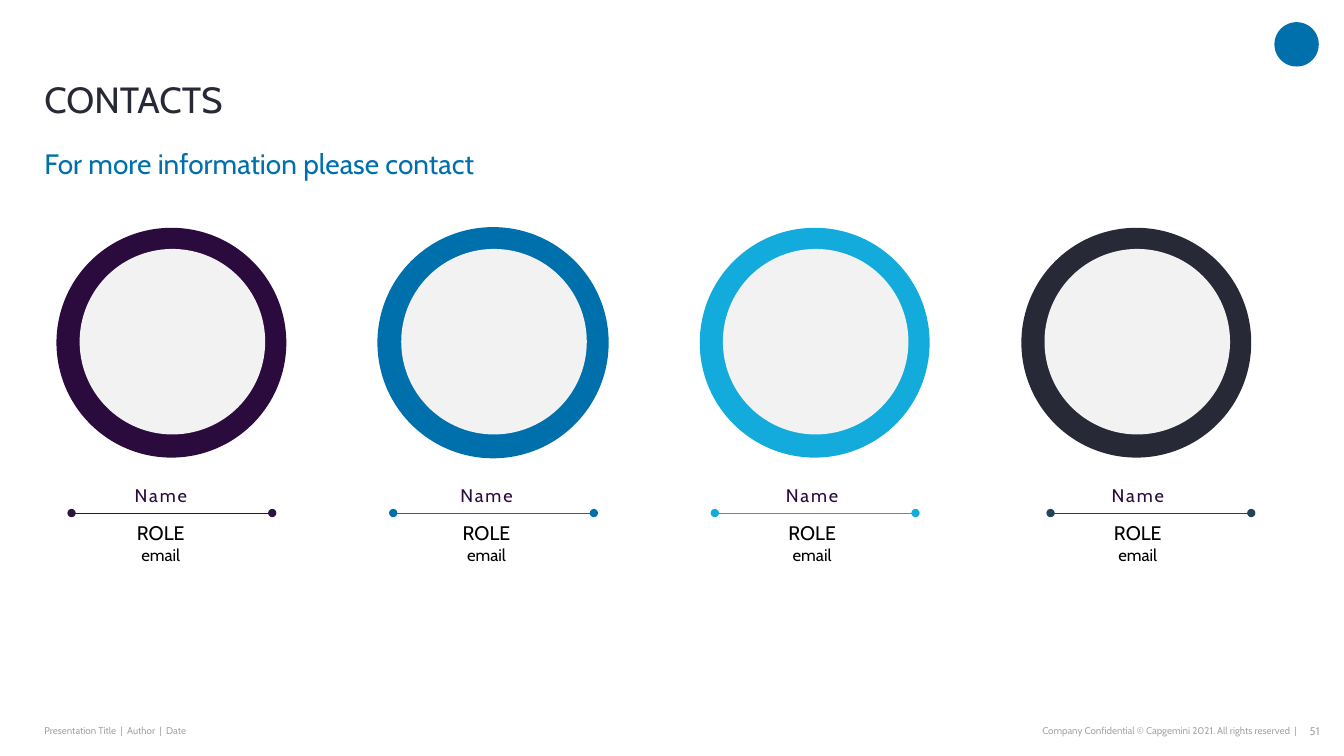
from dataclasses import dataclass

from lxml import etree
from pptx import Presentation
from pptx.dml.color import RGBColor
from pptx.enum.shapes import MSO_CONNECTOR, MSO_SHAPE
from pptx.enum.text import MSO_ANCHOR, MSO_AUTO_SIZE, PP_ALIGN
from pptx.oxml.ns import qn
from pptx.util import Pt

PX = 9144
OVAL = MSO_SHAPE.OVAL
STRAIGHT = MSO_CONNECTOR.STRAIGHT
TOP, MIDDLE, BOTTOM = MSO_ANCHOR.TOP, MSO_ANCHOR.MIDDLE, MSO_ANCHOR.BOTTOM
LEFT, CENTER, RIGHT = PP_ALIGN.LEFT, PP_ALIGN.CENTER, PP_ALIGN.RIGHT
NO_FIT = MSO_AUTO_SIZE.NONE


@dataclass(frozen=True)
class Theme:
    """Colours, font and type sizes of the slide."""
    font: str = "Cabin"
    ink: str = "272936"
    blue: str = "0070AD"
    sky: str = "12ABDB"
    plum: str = "2B0A3D"
    plum_rule: str = "2B143D"
    teal_rule: str = "214554"
    portrait: str = "F2F2F2"
    muted: str = "A6A6A6"
    black: str = "000000"
    title_size: int = 26
    subtitle_size: int = 20
    role_size: int = 14
    name_size: int = 13
    email_size: int = 12
    page_size: int = 8
    footer_size: int = 7


THEME = Theme()
CONTACTS = [
    (THEME.plum, THEME.plum_rule, 15),
    (THEME.blue, THEME.blue, 15),
    (THEME.sky, THEME.sky, 15),
    (THEME.ink, THEME.teal_rule, 29),
]


def emu(*lengths):
    """Turn px lengths into EMU."""
    return [length * PX for length in lengths]


def write(frame, lines, align=LEFT, anchor=TOP, wrap=True):
    """Fill a text frame with (text, size, colour) lines."""
    frame.margin_left = frame.margin_right = frame.margin_top = frame.margin_bottom = 0
    frame.auto_size = NO_FIT
    frame.word_wrap = wrap
    frame.vertical_anchor = anchor
    frame.text = "\n".join(text for text, _, _ in lines)
    for paragraph, (_, size, colour) in zip(frame.paragraphs, lines):
        paragraph.alignment = align
        font = paragraph.runs[0].font
        font.name = THEME.font
        font.size = Pt(size)
        font.color.rgb = RGBColor.from_string(colour)


def add_text(slide, box, lines, **layout):
    """Add a text box and return its frame."""
    frame = slide.shapes.add_textbox(*emu(*box)).text_frame
    write(frame, lines, **layout)
    return frame


def add_disc(slide, left, top, size, colour):
    """Add a plain filled circle."""
    disc = slide.shapes.add_shape(OVAL, *emu(left, top, size, size))
    disc.shadow.inherit = False
    disc.fill.solid()
    disc.fill.fore_color.rgb = RGBColor.from_string(colour)
    disc.line.fill.background()
    return disc


def add_rule(slide, left, top, width, colour):
    """Add a thin horizontal rule with a dot at each end."""
    rule = slide.shapes.add_connector(STRAIGHT, *emu(left, top, left + width, top))
    rule.line.width = Pt(0.5)
    rule.line.color.rgb = RGBColor.from_string(colour)
    outline = rule.line._get_or_add_ln()
    for end in ("a:headEnd", "a:tailEnd"):
        etree.SubElement(outline, qn(end), type="oval")
    etree.SubElement(rule._element.spPr, qn("a:effectLst"))


def add_heading(slide, left, top, width):
    """Place the title and the subtitle below it."""
    title = slide.shapes.title
    title.left, title.top, title.width, title.height = emu(left, top, width, 78)
    write(title.text_frame, [("CONTACTS", THEME.title_size, THEME.ink)], anchor=BOTTOM)
    title.text_frame.paragraphs[0].line_spacing = 0.9
    add_text(slide, (left, top + 103, width, 34),
             [("For more information please contact", THEME.subtitle_size, THEME.blue)])


def add_portrait(slide, left, top, ring, rule, rule_inset):
    """Place one ringed portrait with its rule below."""
    disc = add_disc(slide, left, top, 228, ring)
    if ring == THEME.blue:
        disc.line.color.rgb = RGBColor.from_string(ring)
        disc.line.width = Pt(1)
    add_disc(slide, left + 23, top + 21, 184, THEME.portrait)
    add_rule(slide, left + rule_inset, top + 283, 199, rule)


def add_details(slide, left, top):
    """Place one contact's name, role and email."""
    name = add_text(slide, (left, top, 57, 22), [("Name", THEME.name_size, THEME.plum)],
                    align=CENTER, wrap=False)
    name.paragraphs[0].runs[0].font._element.set("spc", "140")
    add_text(slide, (left, top + 37, 57, 44),
             [("ROLE", THEME.role_size, THEME.black),
              ("email", THEME.email_size, THEME.black)],
             align=CENTER, wrap=False)


def add_contacts(slide, left, top):
    """Place the row of contacts."""
    for index, (ring, rule, rule_inset) in enumerate(CONTACTS):
        add_portrait(slide, left + 319 * index, top, ring, rule, rule_inset)
        add_details(slide, left + 75 + 323 * index, top + 254)


def add_footer(slide, left, top):
    """Place the deck details, the copyright line and the page number."""
    add_text(slide, (left, top, 373, 24),
             [("Presentation Title  |  Author  |  Date", THEME.footer_size, THEME.muted)],
             anchor=MIDDLE)
    add_text(slide, (left + 746, top, 496, 24),
             [("Company Confidential © Capgemini 2021. All rights reserved  |",
               THEME.footer_size, THEME.muted)],
             align=RIGHT, anchor=MIDDLE)
    add_text(slide, (left + 1240, top, 25, 24),
             [("51", THEME.page_size, THEME.muted)], align=RIGHT, anchor=MIDDLE)


def main():
    """Build and save the contacts slide."""
    deck = Presentation()
    deck.slide_width, deck.slide_height = emu(1333, 750)
    slide = deck.slides.add_slide(deck.slide_layouts[5])
    add_disc(slide, 1264, 22, 44, THEME.blue)
    add_heading(slide, 44, 42, 1197)
    add_contacts(slide, 56, 226)
    add_footer(slide, 44, 713)
    deck.save("out.pptx")


if __name__ == "__main__":
    main()
